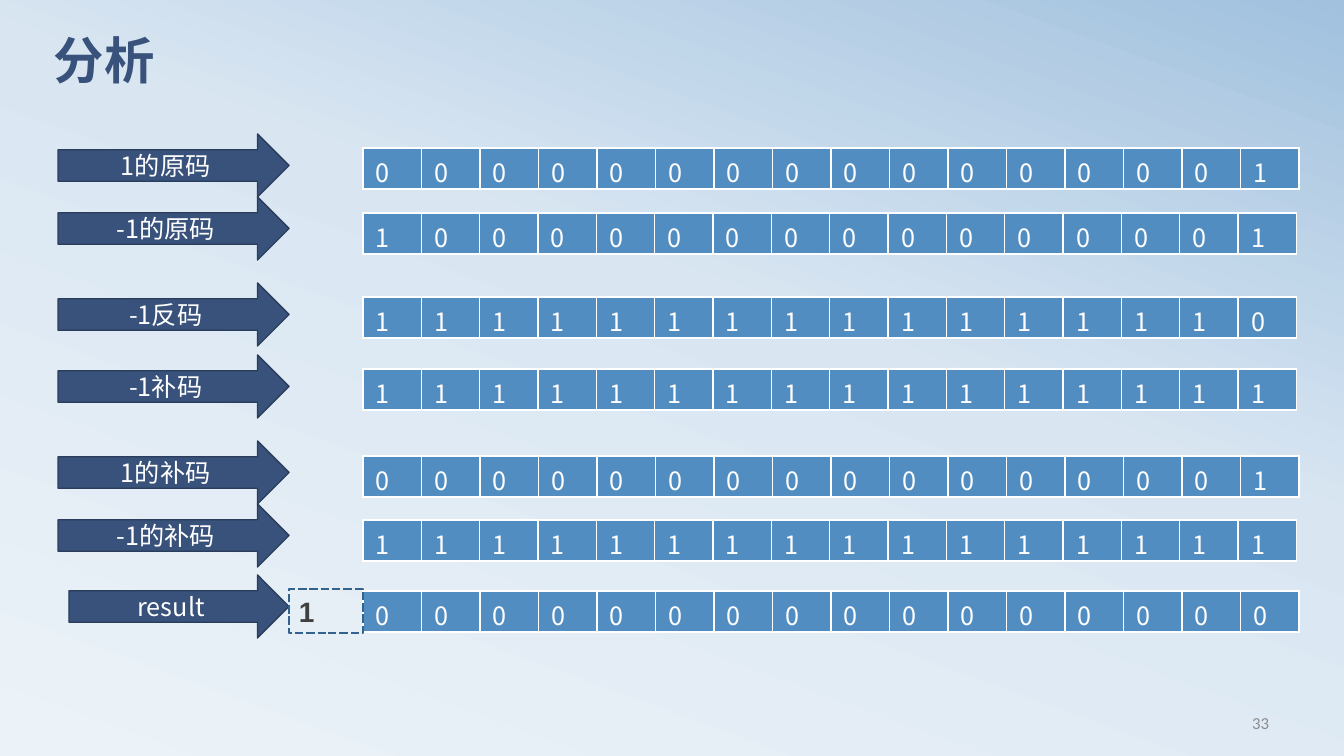
from copy import deepcopy

from lxml import etree
from pptx import Presentation
from pptx import util as u
from pptx.dml import color
from pptx.enum import dml, shapes, text
from pptx.oxml import ns

PX = 12192000 / 1344
CJK = "Noto Sans CJK SC"
NAVY, NAVY_EDGE, CELL, WHITE = "39527B", "2A3D5B", "528DC2", "FFFFFF"
BACKGROUND = [(0, "ECF3F8"), (0.58, "D9E6F2"), (1, "A1C1DE")]
ARROW_RIGHT, TABLE_LEFT = 289, 363

# label, arrow left, arrow top, table top, table width, bits
ROWS = [
    ("1的原码", 58, 134, 148, 936, "0" * 15 + "1"),
    ("-1的原码", 58, 197, 213, 934, "1" + "0" * 14 + "1"),
    ("-1反码", 58, 283, 297, 934, "1" * 15 + "0"),
    ("-1补码", 58, 355, 369, 934, "1" * 16),
    ("1的补码", 58, 441, 456, 936, "0" * 15 + "1"),
    ("-1的补码", 58, 504, 520, 934, "1" * 16),
    ("result", 69, 575, 591, 936, "0" * 16),
]


def px(*lengths):
    return [u.Emu(round(length * PX)) for length in lengths]


def rgb(value):
    return color.RGBColor.from_string(value)


def write(frame, content, size, fill, font=CJK, bold=False, align=text.PP_ALIGN.LEFT,
          anchor=text.MSO_ANCHOR.MIDDLE, spacing=None):
    frame.word_wrap = True
    frame.vertical_anchor = anchor
    paragraph = frame.paragraphs[0]
    paragraph.alignment = align
    paragraph.line_spacing = spacing
    run = paragraph.add_run()
    run.text = content
    run.font.size = u.Pt(size)
    run.font.bold = bold
    run.font.color.rgb = rgb(fill)
    run.font.name = font
    east_asian = etree.SubElement(run.font._element, ns.qn("a:ea"))
    east_asian.set("typeface", CJK)


def paint_background(slide):
    fill = slide.background.fill
    fill.gradient()
    fill.gradient_angle = 70
    stops = slide._element.find(".//" + ns.qn("a:gsLst"))
    stops.append(deepcopy(stops[-1]))
    for stop, (position, value) in zip(fill.gradient_stops, BACKGROUND):
        stop.position = position
        stop.color.rgb = rgb(value)


def add_label(slide, box, content, **style):
    shape = slide.shapes.add_textbox(*px(*box))
    write(shape.text_frame, content, **style)


def add_box(slide, kind, box, line, width, fill=None):
    shape = slide.shapes.add_shape(kind, *px(*box))
    shape.shadow.inherit = False
    if fill:
        shape.fill.solid()
        shape.fill.fore_color.rgb = rgb(fill)
    else:
        shape.fill.background()
    shape.line.color.rgb = rgb(line)
    shape.line.width = u.Pt(width)
    return shape


def add_arrow(slide, left, top, label):
    box = (left, top, ARROW_RIGHT - left, 63)
    arrow = add_box(slide, shapes.MSO_SHAPE.RIGHT_ARROW, box, NAVY_EDGE, 1, NAVY)
    write(arrow.text_frame, label, 18, WHITE, align=text.PP_ALIGN.CENTER)


def add_borders(cell):
    properties = cell._tc.get_or_add_tcPr()
    for index, side in enumerate(("lnL", "lnR", "lnT", "lnB")):
        border = etree.Element(ns.qn("a:" + side), w=str(u.Pt(1)))
        solid = etree.SubElement(border, ns.qn("a:solidFill"))
        etree.SubElement(solid, ns.qn("a:srgbClr"), val=WHITE)
        properties.insert(index, border)


def add_bits(slide, top, width, bits):
    table = slide.shapes.add_table(1, len(bits), *px(TABLE_LEFT, top, width, 41)).table
    table.horz_banding = False
    for cell, bit in zip(table.iter_cells(), bits):
        cell.margin_left, cell.margin_right = px(13, 13)
        cell.margin_top, cell.margin_bottom = px(5, 5)
        cell.fill.solid()
        cell.fill.fore_color.rgb = rgb(CELL)
        write(cell.text_frame, bit, 18, WHITE, anchor=text.MSO_ANCHOR.TOP)
        add_borders(cell)


def add_carry(slide, box, bit):
    carry = add_box(slide, shapes.MSO_SHAPE.RECTANGLE, box, "32628E", 2)
    carry.line.dash_style = dml.MSO_LINE.SQUARE_DOT
    write(carry.text_frame, bit, 20, "404040", font="Arial", bold=True)


def main():
    presentation = Presentation()
    presentation.slide_width, presentation.slide_height = px(1344, 756)
    slide = presentation.slides.add_slide(presentation.slide_layouts[6])
    paint_background(slide)
    add_label(slide, (44, 36, 1210, 95), "分析", size=36, fill=NAVY, font="Calibri",
              bold=True, anchor=text.MSO_ANCHOR.TOP, spacing=0.8)
    for label, left, arrow_top, table_top, width, bits in ROWS:
        add_arrow(slide, left, arrow_top, label)
        add_bits(slide, table_top, width, bits)
    add_carry(slide, (ARROW_RIGHT, 589, TABLE_LEFT - ARROW_RIGHT, 44), "1")
    add_label(slide, (966, 703, 313, 40), "33", size=12, fill="8C8C8C", font="Calibri",
              align=text.PP_ALIGN.RIGHT)
    presentation.save("out.pptx")


if __name__ == "__main__":
    main()
